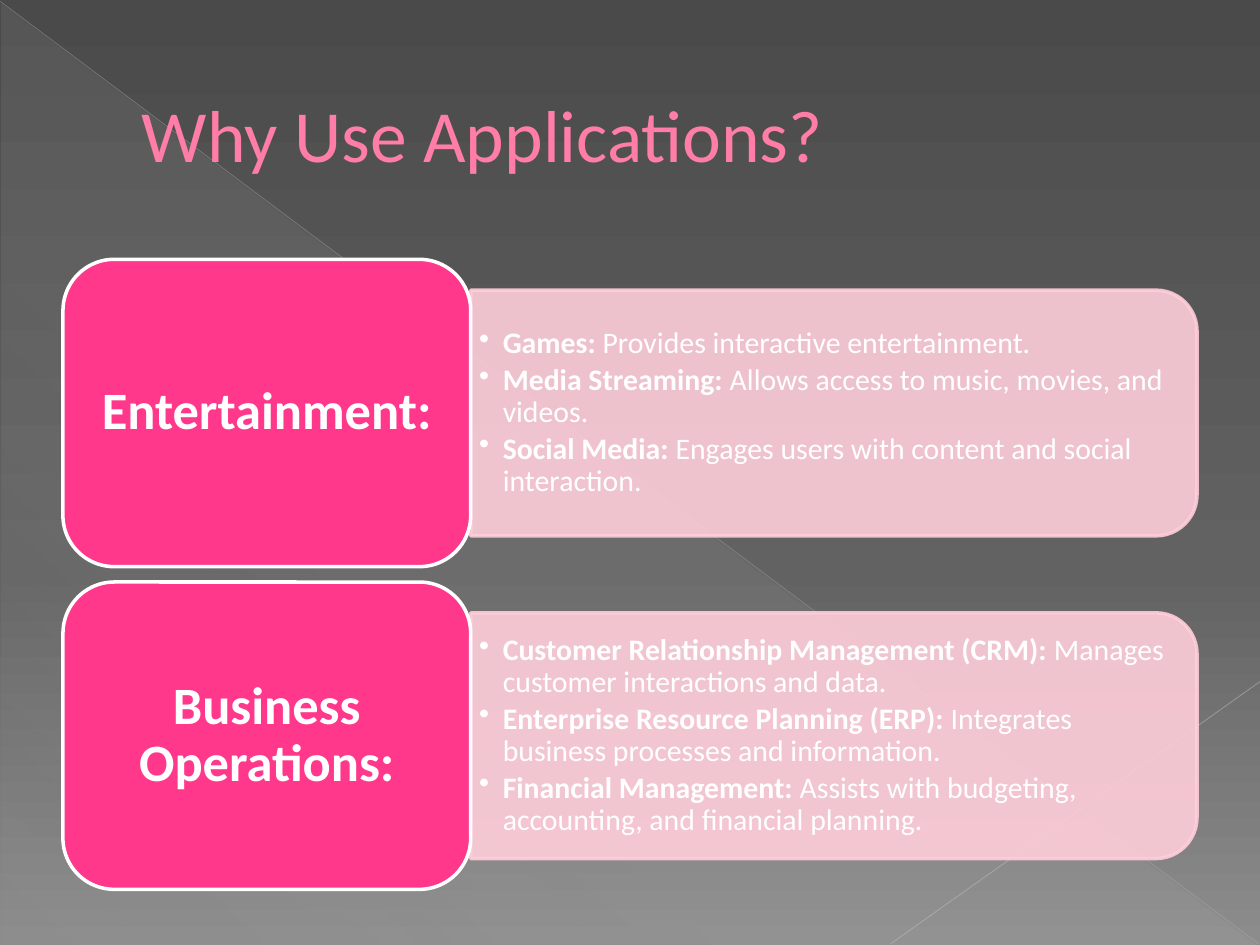
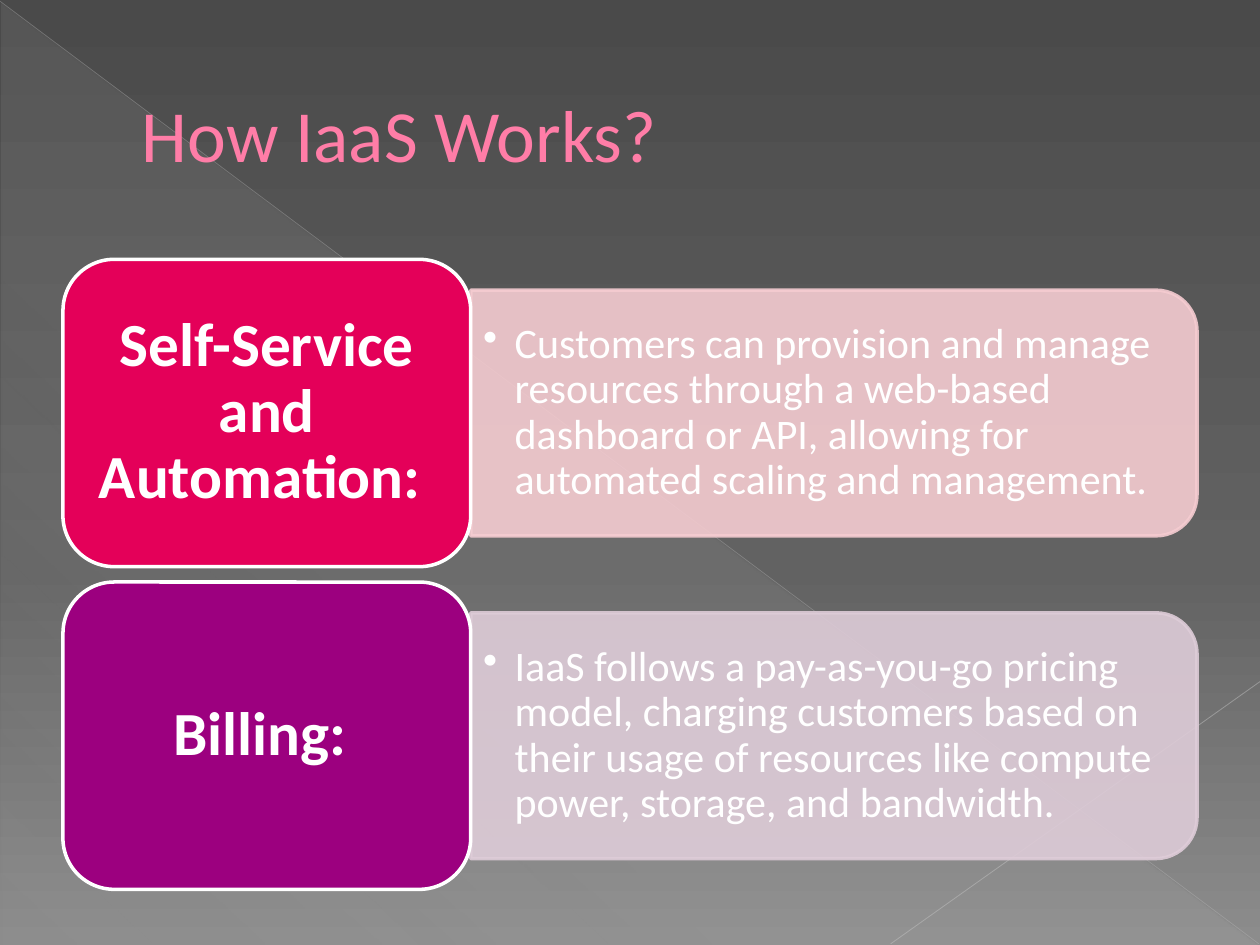
from dataclasses import dataclass

from lxml.etree import SubElement
from pptx import Presentation
from pptx.dml.color import RGBColor
from pptx.enum.shapes import MSO_CONNECTOR, MSO_SHAPE
from pptx.enum.text import MSO_ANCHOR, PP_ALIGN
from pptx.oxml.ns import qn
from pptx.util import Pt


@dataclass(frozen=True)
class Theme:
    font: str = "Calibri"
    white: str = "FFFFFF"
    title: str = "FF7DA7"
    edge: str = "B12761"
    pink: str = "FF388C"
    blush: str = "FFCEDA"
    red: str = "E40059"
    rose: str = "F5CCD1"
    plum: str = "9C007F"
    mauve: str = "DECCD8"
    back: tuple = ((0, "4A4A4A", 100), (60, "626262", 100), (100, "8C8C8C", 100))
    sheen: tuple = ((0, "D2D2D2", 10), (70, "D2D2D2", 8), (100, "D2D2D2", 1))
    large: int = 42


@dataclass(frozen=True)
class Style:
    head: int
    body: int
    hang: float
    head_pad: tuple
    body_pad: tuple


theme = Theme()
dense = Style(30, 17, 13.5, (8.6, 4.3), (4.8, 2.7))
roomy = Style(35, 24, 18, (10.5, 5.25), (7.2, 3.6))


def blend(owner, fill, stops, angle):
    fill.gradient()
    grad = owner.element.find(".//" + qn("a:gradFill"))
    for child in list(grad):
        grad.remove(child)
    group = SubElement(grad, qn("a:gsLst"))
    for place, tint, alpha in stops:
        stop = SubElement(group, qn("a:gs"), pos=str(place * 1000))
        color = SubElement(stop, qn("a:srgbClr"), val=tint)
        SubElement(color, qn("a:alpha"), val=str(alpha * 1000))
    SubElement(grad, qn("a:lin"), ang=str(angle * 60000), scaled="0")


def fade(shape, alpha):
    for color in shape.element.spPr.iter(qn("a:srgbClr")):
        SubElement(color, qn("a:alpha"), val=str(alpha * 1000))


def draw(slide, kind, box, tint=None, edge=None):
    shape = slide.shapes.add_shape(kind, *map(Pt, box))
    shape.shadow.inherit = False
    if tint:
        shape.fill.solid()
        shape.fill.fore_color.rgb = RGBColor.from_string(tint)
    if edge:
        shape.line.color.rgb = RGBColor.from_string(edge)
        shape.line.width = Pt(2)
    else:
        shape.line.fill.background()
    return shape


def rule(slide, ends, tint, width, alpha):
    line = slide.shapes.add_connector(MSO_CONNECTOR.STRAIGHT, *map(Pt, ends))
    line.line.color.rgb = RGBColor.from_string(tint)
    line.line.width = Pt(width)
    fade(line, alpha)
    SubElement(line.element.spPr, qn("a:effectLst"))


def write(slide, box, paras, size, tint=theme.white, bold=False, align=PP_ALIGN.LEFT,
          pad=(7.2, 3.6), left=0, hang=0, pitch=None, after=0, edge=None):
    frame = slide.shapes.add_textbox(*map(Pt, box)).text_frame
    frame.word_wrap = True
    frame.vertical_anchor = MSO_ANCHOR.MIDDLE
    frame.margin_left = frame.margin_right = Pt(pad[0])
    frame.margin_top = frame.margin_bottom = Pt(pad[1])
    for index, (lead, rest) in enumerate(paras):
        para = frame.paragraphs[0] if index == 0 else frame.add_paragraph()
        props = para._p.get_or_add_pPr()
        props.set("marL", str(Pt(left + hang)))
        props.set("indent", str(Pt(-hang)))
        if hang:
            SubElement(props, qn("a:buChar"), char="•")
        para.alignment = align
        para.line_spacing = pitch
        para.space_after = Pt(round(size * after, 2))
        for words, strong in ((lead, True), (rest, bold)):
            if not words:
                continue
            run = para.add_run()
            run.text = words
            run.font.name = theme.font
            run.font.size = Pt(size)
            run.font.bold = strong
            run.font.color.rgb = RGBColor.from_string(tint)
            if edge:
                line = SubElement(run.font._element, qn("a:ln"), w=str(Pt(0.5)))
                fill = SubElement(line, qn("a:solidFill"))
                SubElement(fill, qn("a:srgbClr"), val=edge)
                run.font._element.insert(0, line)


def scene(slide, wide, high):
    blend(slide, slide.background.fill, theme.back, 90)
    wedge = draw(slide, MSO_SHAPE.RIGHT_TRIANGLE, (0.7, 1.4, wide - 1.4, high - 1.4))
    blend(wedge, wedge.fill, theme.sheen, 133)
    rule(slide, (0, 0.7, wide - 0.7, high - 0.7), "BFBFBF", 0.39, 35)
    rule(slide, (wide, 389.5, 509, high - 0.7), "C6C6C6", 0.47, 45)


def card(slide, box, head, items, tint, pale, style):
    x, y, wide, high = box
    split = 233
    span, depth = wide - split, 140.4
    mid = y + high / 2
    frame = (x + split + (span - depth) / 2, mid - span / 2, depth, span)
    panel = draw(slide, MSO_SHAPE.ROUND_2_SAME_RECTANGLE, frame, pale, pale)
    panel.rotation = 90
    fade(panel, 90)
    write(slide, (x + split, mid - 63.4, span - 7, 126.8), items, style.body,
          pad=style.body_pad, hang=style.hang, pitch=0.9, after=0.15)
    draw(slide, MSO_SHAPE.ROUNDED_RECTANGLE, (x, y, split, high), tint, theme.white)
    inset = 8.6
    write(slide, (x + inset, y + inset, split - 2 * inset, high - 2 * inset), [("", head)],
          style.head, bold=True, align=PP_ALIGN.CENTER, pad=style.head_pad,
          pitch=0.9, after=0.35)


def page(deck, title, cards, style):
    slide = deck.slides.add_slide(deck.slide_layouts[6])
    scene(slide, 720, 540)
    write(slide, (36, 21, 648, 110), [("", title)], theme.large, theme.title,
          left=38, edge=theme.edge)
    for row, parts in enumerate(cards):
        card(slide, (36, 148.2 + row * 184.4, 648, 175.6), *parts, style)


def main():
    deck = Presentation()
    deck.slide_width, deck.slide_height = Pt(720), Pt(540)
    page(deck, "Why Use Applications?", [
        ("Entertainment:", [
            ("Games:", " Provides interactive entertainment."),
            ("Media Streaming:", " Allows access to music, movies, and videos."),
            ("Social Media:", " Engages users with content and social interaction."),
        ], theme.pink, theme.blush),
        ("Business Operations:", [
            ("Customer Relationship Management (CRM):",
             " Manages customer interactions and data."),
            ("Enterprise Resource Planning (ERP):",
             " Integrates business processes and information."),
            ("Financial Management:",
             " Assists with budgeting, accounting, and financial planning."),
        ], theme.pink, theme.blush),
    ], dense)
    page(deck, "How IaaS Works?", [
        ("Self-Service and Automation: ", [
            ("", "Customers can provision and manage resources through a web-based "
                 "dashboard or API, allowing for automated scaling and management."),
        ], theme.red, theme.rose),
        ("Billing: ", [
            ("", "IaaS follows a pay-as-you-go pricing model, charging customers based on "
                 "their usage of resources like compute power, storage, and bandwidth."),
        ], theme.plum, theme.mauve),
    ], roomy)
    deck.save("out.pptx")


if __name__ == "__main__":
    main()
